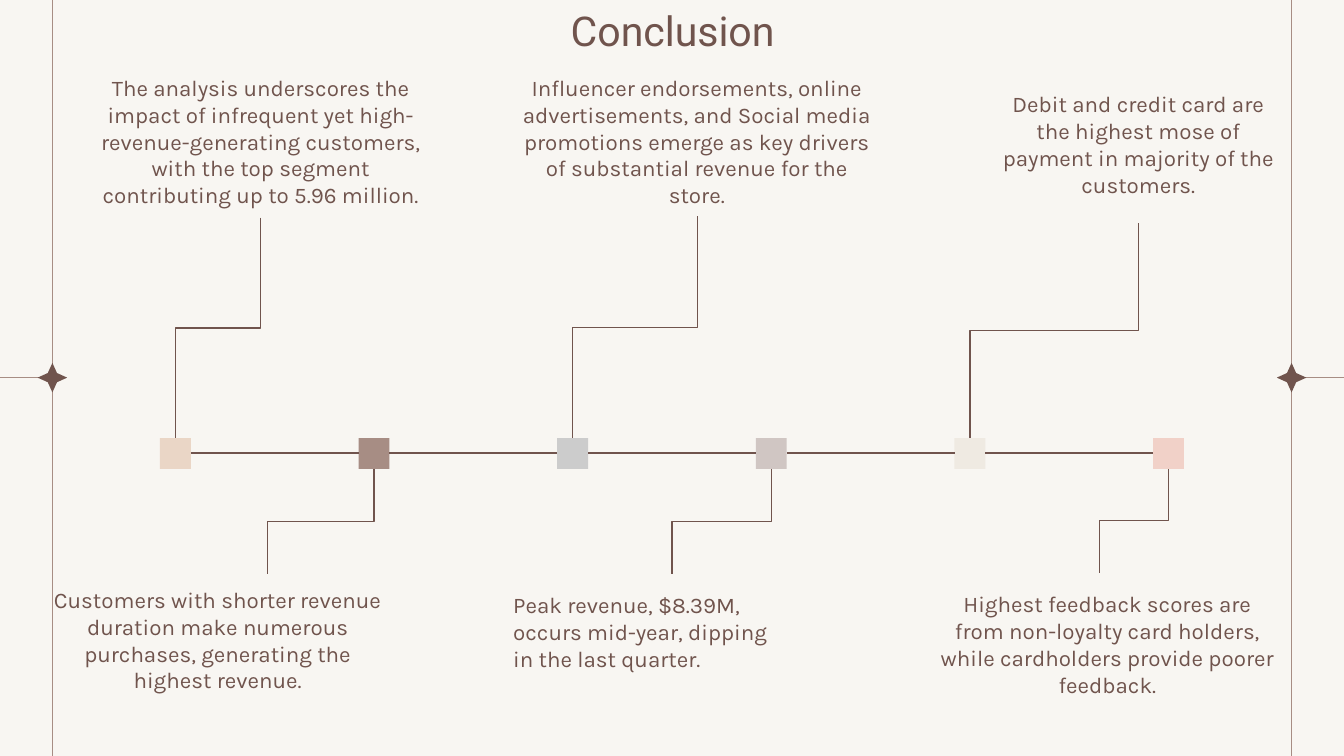
from lxml.etree import SubElement
from pptx import Presentation
from pptx.dml.color import RGBColor
from pptx.enum.shapes import MSO_CONNECTOR, MSO_SHAPE
from pptx.enum.text import MSO_ANCHOR, PP_ALIGN
from pptx.oxml.ns import qn
from pptx.util import Inches, Pt

BROWN = "70544D"
TAUPE = "A78D84"
BACKGROUND = "F8F6F2"
SLIDE_WIDTH = 10
SLIDE_HEIGHT = SLIDE_WIDTH * 9 / 16
MARGIN = 0.39
MIDDLE = 2.81
STAR_SIZE = 0.22
MARKER_SIZE = 0.23
FIRST_MARKER, LAST_MARKER = 1.19, 8.58
MARKER_TOP = 3.26
AXIS = 3.37
MARKER_COLORS = ["EAD6C6", TAUPE, "CCCCCC", "D0C6C3", "EFEAE2", "F1D1C8"]

CALLOUTS = [
    ("The analysis underscores the impact of infrequent yet high-revenue-generating "
     "customers, with the top segment contributing up to 5.96 million.",
     (0.54, 0.45, 2.8, 1.17), PP_ALIGN.CENTER, (1.94, 1.62)),
    ("Customers with shorter revenue duration make numerous purchases, "
     "generating the highest revenue.",
     (0.25, 4.26, 2.74, 1.17), PP_ALIGN.CENTER, (1.99, 4.27)),
    ("Influencer endorsements, online advertisements, and Social media promotions "
     "emerge as key drivers of substantial revenue for the store.",
     (3.78, 0.45, 2.81, 1.16), PP_ALIGN.CENTER, (5.19, 1.61)),
    ("Peak revenue, $8.39M, occurs mid-year, dipping in the last quarter.",
     (3.72, 4.3, 2.25, 0.78), PP_ALIGN.LEFT, (5, 4.27)),
    ("Debit and credit card are the highest mose of payment in majority of the customers.",
     (7.33, 0.57, 2.28, 1.09), PP_ALIGN.CENTER, (8.47, 1.66)),
    ("Highest feedback scores are from non-loyalty card holders, while cardholders "
     "provide poorer feedback.",
     (6.87, 4.29, 2.74, 0.78), PP_ALIGN.CENTER, (8.18, 4.26)),
]


def rgb(color):
    """Turn a hex string into a colour."""
    return RGBColor.from_string(color)


def add_line(slide, start, end, color=BROWN, kind=MSO_CONNECTOR.STRAIGHT):
    """Add a thin connector without shadow."""
    points = [Inches(value) for value in (*start, *end)]
    connector = slide.shapes.add_connector(kind, *points)
    connector.line.color.rgb = rgb(color)
    connector.line.width = Pt(0.75)
    SubElement(connector.element.spPr, qn("a:effectLst"))
    return connector


def add_leader(slide, upper_right, lower_left):
    """Add an elbow that leaves and arrives vertically, by a quarter turn."""
    (right, top), (left, bottom) = upper_right, lower_left
    center_x, center_y = (left + right) / 2, (top + bottom) / 2
    half_length, half_breadth = (bottom - top) / 2, (right - left) / 2
    connector = add_line(slide, (center_x - half_length, center_y - half_breadth),
                         (center_x + half_length, center_y + half_breadth),
                         kind=MSO_CONNECTOR.ELBOW)
    connector.element.spPr.find(qn("a:xfrm")).set("rot", "5400000")


def add_filled_shape(slide, kind, left, top, size, color):
    """Add a shape of equal width and height with a plain fill."""
    shape = slide.shapes.add_shape(kind, Inches(left), Inches(top), Inches(size), Inches(size))
    shape.shadow.inherit = False
    shape.fill.solid()
    shape.fill.fore_color.rgb = rgb(color)
    shape.line.fill.background()
    return shape


def format_text(shape, text, font_name, size, alignment):
    """Fill a shape with one formatted paragraph."""
    text_frame = shape.text_frame
    text_frame.text = text
    text_frame.word_wrap = True
    text_frame.vertical_anchor = MSO_ANCHOR.TOP
    text_frame.margin_left = text_frame.margin_right = Inches(0.1)
    text_frame.margin_top = text_frame.margin_bottom = Inches(0.1)
    paragraph = text_frame.paragraphs[0]
    paragraph.alignment = alignment
    font = paragraph.runs[0].font
    font.name = font_name
    font.size = Pt(size)
    font.color.rgb = rgb(BROWN)


def add_frame(slide):
    """Draw the side rules with their stars."""
    for rule, edge in ((MARGIN, 0), (SLIDE_WIDTH - MARGIN, SLIDE_WIDTH)):
        add_line(slide, (edge, MIDDLE), (rule, MIDDLE), TAUPE)
        add_line(slide, (rule, 0), (rule, SLIDE_HEIGHT), TAUPE)
        star = add_filled_shape(slide, MSO_SHAPE.STAR_4_POINT, rule - STAR_SIZE / 2,
                                MIDDLE - STAR_SIZE / 2, STAR_SIZE, BROWN)
        star.adjustments[0] = 0.22


def add_title(slide):
    """Place and format the title placeholder."""
    title = slide.shapes.title
    title.left, title.top = Inches(0.79), Inches(-0.06)
    title.width, title.height = Inches(8.43), Inches(0.63)
    format_text(title, "Conclusion", "Roboto", 22, PP_ALIGN.CENTER)


def add_timeline(slide):
    """Draw the markers, the links between them and their callouts."""
    step = (LAST_MARKER - FIRST_MARKER) / (len(MARKER_COLORS) - 1)
    for index, (color, callout) in enumerate(zip(MARKER_COLORS, CALLOUTS)):
        text, box, alignment, leader_end = callout
        left = FIRST_MARKER + index * step
        center = left + MARKER_SIZE / 2
        add_filled_shape(slide, MSO_SHAPE.RECTANGLE, left, MARKER_TOP, MARKER_SIZE, color)
        if index:
            add_line(slide, (left - step + MARKER_SIZE, AXIS), (left, AXIS))
        if leader_end[1] < MARKER_TOP:
            add_leader(slide, leader_end, (center, MARKER_TOP))
        else:
            add_leader(slide, (center, MARKER_TOP + MARKER_SIZE), leader_end)
        textbox = slide.shapes.add_textbox(*[Inches(value) for value in box])
        format_text(textbox, text, "Karla", 12, alignment)


def main():
    """Build and save the slide."""
    presentation = Presentation()
    presentation.slide_width = Inches(SLIDE_WIDTH)
    presentation.slide_height = Inches(SLIDE_HEIGHT)
    slide = presentation.slides.add_slide(presentation.slide_layouts[5])
    slide.background.fill.solid()
    slide.background.fill.fore_color.rgb = rgb(BACKGROUND)
    add_frame(slide)
    add_title(slide)
    add_timeline(slide)
    presentation.save("out.pptx")


if __name__ == "__main__":
    main()
